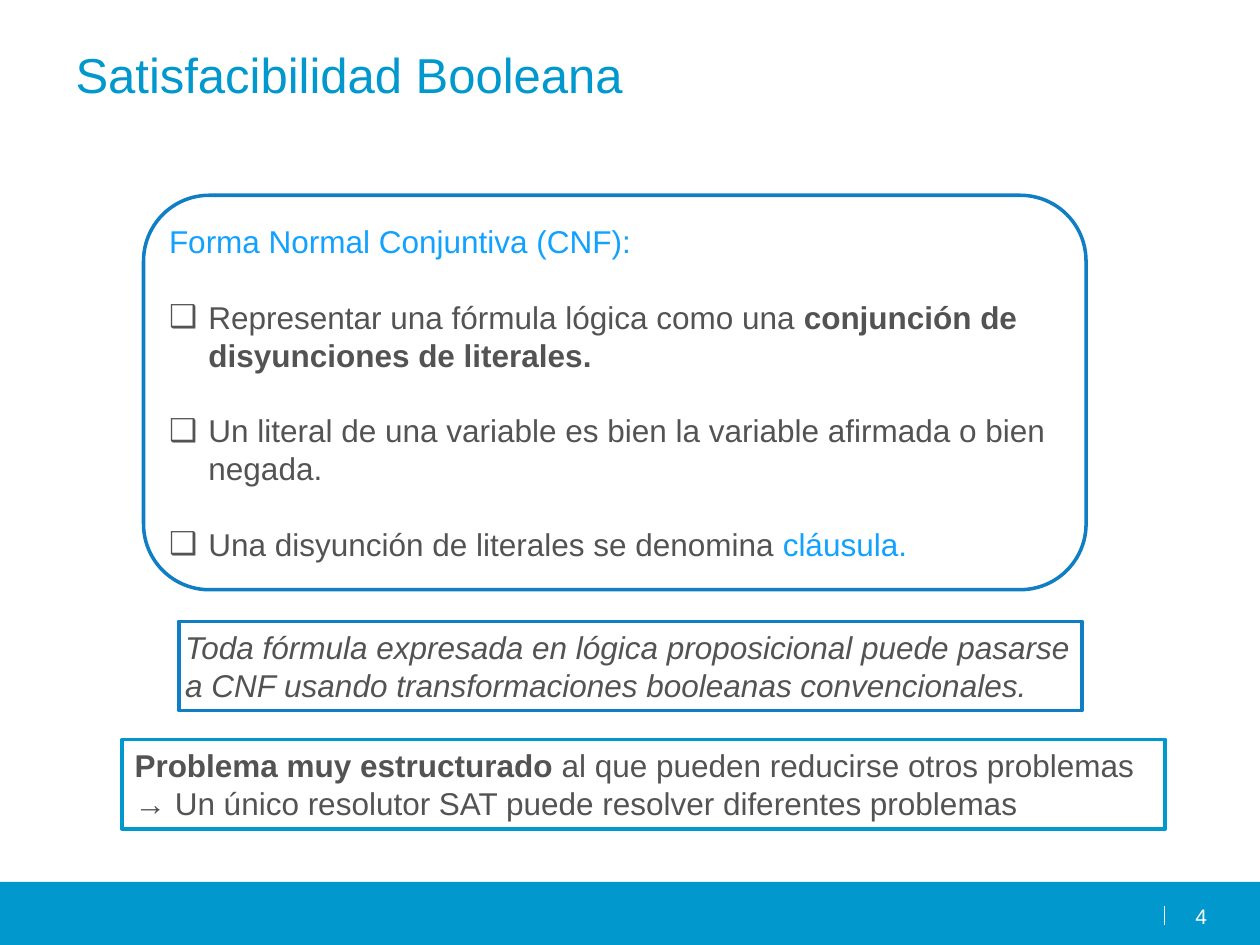
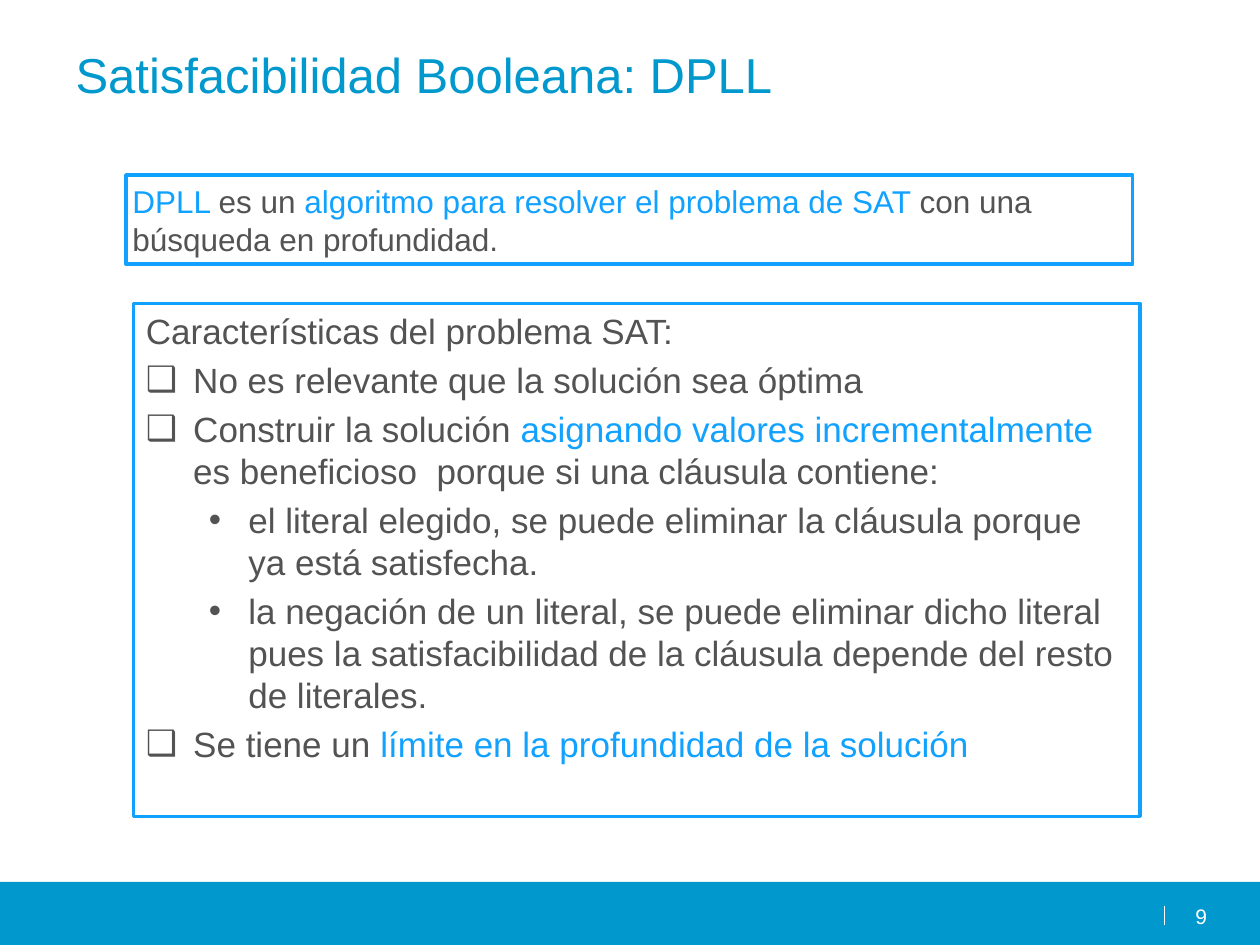
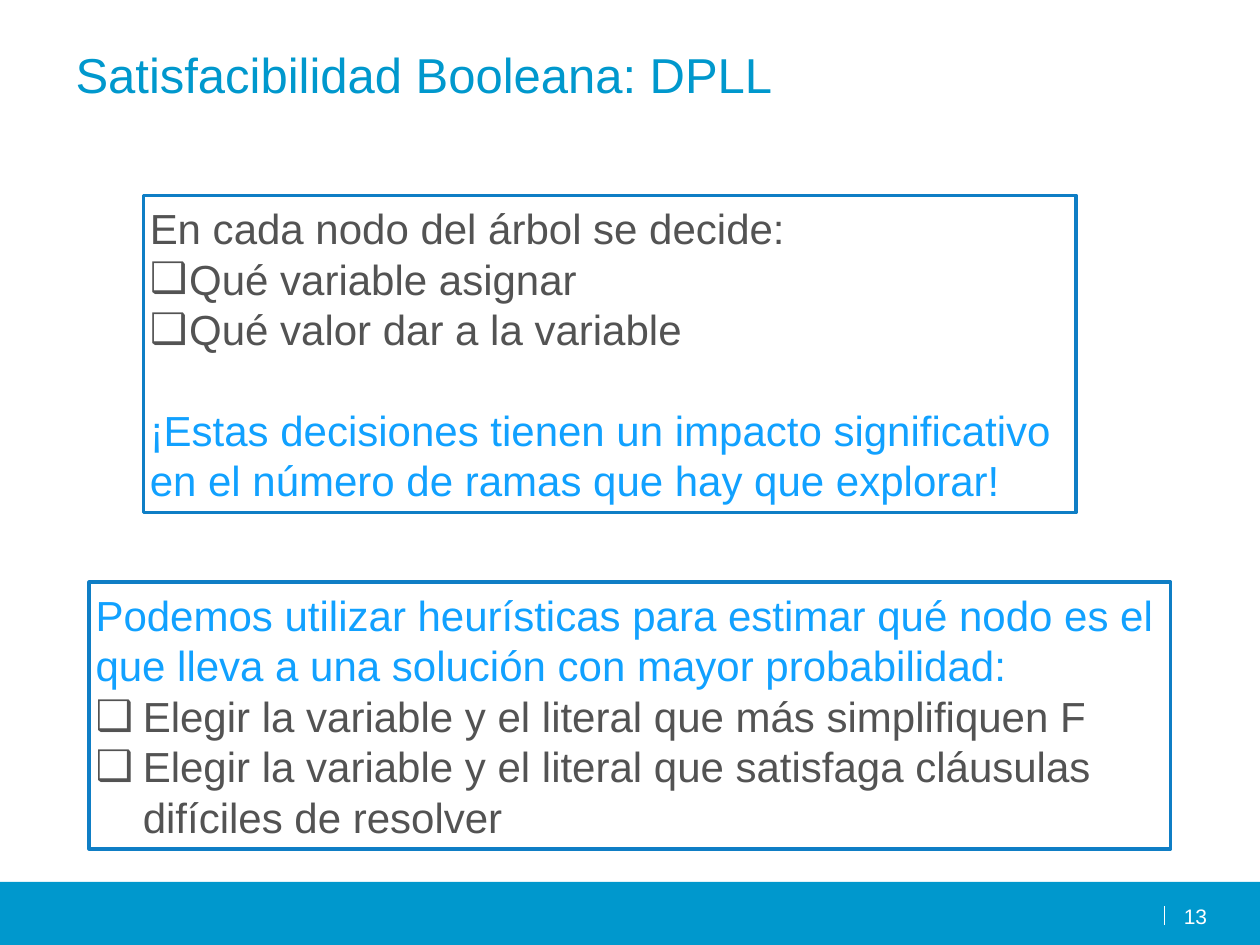
"""Build three slides about Boolean satisfiability and DPLL."""
from dataclasses import dataclass
from typing import NamedTuple

from lxml import etree
from pptx import Presentation
from pptx.dml.color import RGBColor
from pptx.enum.shapes import MSO_CONNECTOR, MSO_SHAPE
from pptx.enum.text import MSO_ANCHOR, MSO_AUTO_SIZE, PP_ALIGN
from pptx.oxml.ns import qn
from pptx.util import Pt

RECTANGLE = MSO_SHAPE.RECTANGLE
ROUNDED = MSO_SHAPE.ROUNDED_RECTANGLE
STRAIGHT = MSO_CONNECTOR.STRAIGHT
TOP, MIDDLE = MSO_ANCHOR.TOP, MSO_ANCHOR.MIDDLE
LEFT, RIGHT = PP_ALIGN.LEFT, PP_ALIGN.RIGHT
NO_AUTOFIT = MSO_AUTO_SIZE.NONE

COLORS = {
    "brand": "0098CD",
    "border": "0F7EC5",
    "accent": "11A1FF",
    "text": "535353",
    "white": "FFFFFF",
}
FONT = "Arial"
LINE_HEIGHT = 1.2
TITLE_ONLY = 5
SQUARE, DOT = "\u2751", "\u2022"


class Box(NamedTuple):
    """Position and size in points."""

    left: float
    top: float
    width: float
    height: float


class Span(NamedTuple):
    """A stretch of text in one format."""

    text: str
    color: str = "text"
    bold: bool = False
    italic: bool = False


@dataclass
class Line:
    """A paragraph with its bullet, indents and space before."""

    spans: list[Span]
    bullet: str = ""
    margin: float = 0
    hanging: float = 0
    before: float = 0
    level: int = 0


@dataclass
class Panel:
    """An outlined box of text."""

    box: Box
    lines: list[Line]
    size: float = 18
    border: str = "border"
    weight: float = 2
    side_inset: float = 3.6
    fill: str = "white"
    anchor: MSO_ANCHOR = MIDDLE
    geometry: MSO_SHAPE = RECTANGLE


@dataclass
class Page:
    """The contents of one slide."""

    title: str
    number: int
    panels: list[Panel]


def color(name: str) -> RGBColor:
    """Return a named colour."""
    return RGBColor.from_string(COLORS[name])


def set_values(target, values: dict) -> None:
    """Set each attribute of the target from a dict."""
    for name, value in values.items():
        setattr(target, name, value)


def points(box: Box) -> list:
    """Return the four lengths of a box."""
    return [Pt(value) for value in box]


def set_bullet(paragraph, line: Line) -> None:
    """Set the indents and the bullet character."""
    properties = paragraph._p.get_or_add_pPr()
    properties.set("marL", str(Pt(line.margin)))
    properties.set("indent", str(-Pt(line.hanging)))
    if line.bullet:
        etree.SubElement(properties, qn("a:buFont")).set("typeface", FONT)
        etree.SubElement(properties, qn("a:buChar")).set("char", line.bullet)
    else:
        etree.SubElement(properties, qn("a:buNone"))


def write(shape, lines: list[Line], size: float, side: float, upright: float,
          anchor=TOP, align=LEFT) -> None:
    """Write formatted paragraphs into a shape."""
    frame = shape.text_frame
    set_values(frame, {
        "word_wrap": True, "auto_size": NO_AUTOFIT, "vertical_anchor": anchor,
        "margin_left": Pt(side), "margin_right": Pt(side),
        "margin_top": Pt(upright), "margin_bottom": Pt(upright),
    })
    for index, line in enumerate(lines):
        paragraph = frame.add_paragraph() if index else frame.paragraphs[0]
        set_values(paragraph, {
            "alignment": align, "level": line.level, "space_after": Pt(0),
            "space_before": Pt(line.before), "line_spacing": Pt(size * LINE_HEIGHT),
        })
        set_bullet(paragraph, line)
        for span in line.spans:
            run = paragraph.add_run()
            run.text = span.text
            set_values(run.font, {"name": FONT, "size": Pt(size),
                                  "bold": span.bold, "italic": span.italic})
            run.font.color.rgb = color(span.color)


def add_title(slide, text: str) -> None:
    """Place and fill the title placeholder."""
    title = slide.shapes.title
    left, top, width, height = points(Box(36, 21.6, 648, 90))
    set_values(title, {"left": left, "top": top, "width": width, "height": height})
    write(title, [Line([Span(text, "brand")])], 28, 7.2, 3.6)


def add_footer(slide, number: int) -> None:
    """Draw the bottom band, its divider and the slide number."""
    band = slide.shapes.add_shape(RECTANGLE, *points(Box(0, 504, 720, 36)))
    band.shadow.inherit = False
    band.fill.solid()
    band.fill.fore_color.rgb = color("brand")
    band.line.fill.background()
    divider = slide.shapes.add_connector(
        STRAIGHT, Pt(665.3), Pt(528.5), Pt(665.3), Pt(517.7))
    divider.line.color.rgb = color("white")
    divider.line.width = Pt(0.75)
    etree.SubElement(divider._element.spPr, qn("a:effectLst"))
    label = slide.shapes.add_textbox(*points(Box(668.2, 516.2, 21.6, 13.7)))
    write(label, [Line([Span(str(number), "white")])], 12, 0, 0, align=RIGHT)


def add_panel(slide, panel: Panel) -> None:
    """Draw an outlined box with its text."""
    shape = slide.shapes.add_shape(panel.geometry, *points(panel.box))
    shape.shadow.inherit = False
    if panel.fill:
        shape.fill.solid()
        shape.fill.fore_color.rgb = color(panel.fill)
    else:
        shape.fill.background()
    shape.line.color.rgb = color(panel.border)
    shape.line.width = Pt(panel.weight)
    write(shape, panel.lines, panel.size, panel.side_inset, 3.6, panel.anchor)


def item(*spans: Span, indent: float = 27, before: float = 0) -> Line:
    """Return a paragraph with a square bullet."""
    return Line(list(spans), SQUARE, indent, indent, before)


def subitem(text: str) -> Line:
    """Return a second-level paragraph with a round bullet."""
    return Line([Span(text)], DOT, 58.5, 22.5, 4, 1)


PAGES = [
    Page("Satisfacibilidad Booleana", 4, [
        Panel(Box(82, 111.6, 538.6, 225.4), [
            Line([Span("Forma Normal Conjuntiva (CNF):", "accent")]),
            item(Span("Representar una fórmula lógica como una "),
                 Span("conjunción de disyunciones de literales.", bold=True),
                 indent=22.5, before=21.6),
            item(Span("Un literal de una variable es bien la variable afirmada o bien negada."),
                 indent=22.5, before=21.6),
            item(Span("Una disyunción de literales se denomina "),
                 Span("cláusula.", "accent"), indent=22.5, before=21.6),
        ], geometry=ROUNDED),
        Panel(Box(102.2, 355, 516.2, 51), [
            Line([Span("Toda fórmula expresada en lógica proposicional puede pasarse a CNF "
                       "usando transformaciones booleanas convencionales.", italic=True)]),
        ]),
        Panel(Box(69.8, 422.6, 596.2, 51), [
            Line([Span("Problema muy estructurado ", bold=True),
                  Span("al que pueden reducirse otros problemas ")]),
            Line([Span("→ Un único resolutor SAT puede resolver diferentes problemas")]),
        ], border="brand", weight=2.25, side_inset=7.2, fill="", anchor=TOP),
    ]),
    Page("Satisfacibilidad Booleana: DPLL", 9, [
        Panel(Box(76.3, 173.5, 575.3, 293), [
            Line([Span("Características del problema SAT:")]),
            item(Span("No es relevante que la solución sea óptima"), before=4),
            item(Span("Construir la solución "),
                 Span("asignando valores incrementalmente ", "accent"),
                 Span("es beneficioso  porque si una cláusula contiene:"), before=4),
            subitem("el literal elegido, se puede eliminar la cláusula porque "
                    "ya está satisfecha."),
            subitem("la negación de un literal, se puede eliminar dicho literal pues la "
                    "satisfacibilidad de la cláusula depende del resto de literales."),
            item(Span("Se tiene un "),
                 Span("límite en la profundidad de la solución", "accent"), before=4),
        ], size=20, border="accent", side_inset=7.2, anchor=TOP),
        Panel(Box(72, 100, 575.3, 51), [
            Line([Span("DPLL ", "accent"), Span("es un "),
                  Span("algoritmo para resolver el problema de SAT ", "accent"),
                  Span("con una búsqueda en profundidad.")]),
        ], border="accent"),
    ]),
    Page("Satisfacibilidad Booleana: DPLL", 13, [
        Panel(Box(51, 332.6, 617.8, 152.6), [
            Line([Span("Podemos utilizar heurísticas para estimar qué nodo es el que lleva "
                       "a una solución con mayor probabilidad:", "accent")]),
            item(Span("Elegir la variable y el literal que más simplifiquen F")),
            item(Span("Elegir la variable y el literal que satisfaga cláusulas "
                      "difíciles de resolver")),
        ], size=24),
        Panel(Box(82, 111.6, 532.8, 181.4), [
            Line([Span("En cada nodo del árbol se decide:")]),
            item(Span("Qué variable asignar"), indent=22.5),
            item(Span("Qué valor dar a la variable"), indent=22.5),
            Line([Span("¡Estas decisiones tienen un impacto significativo en el número "
                       "de ramas que hay que explorar!", "accent")], before=28.8),
        ], size=24),
    ]),
]


def main() -> None:
    """Build and save the presentation."""
    presentation = Presentation()
    set_values(presentation, {"slide_width": Pt(720), "slide_height": Pt(540)})
    for page in PAGES:
        slide = presentation.slides.add_slide(presentation.slide_layouts[TITLE_ONLY])
        add_footer(slide, page.number)
        add_title(slide, page.title)
        for panel in page.panels:
            add_panel(slide, panel)
    presentation.save("out.pptx")


main()
